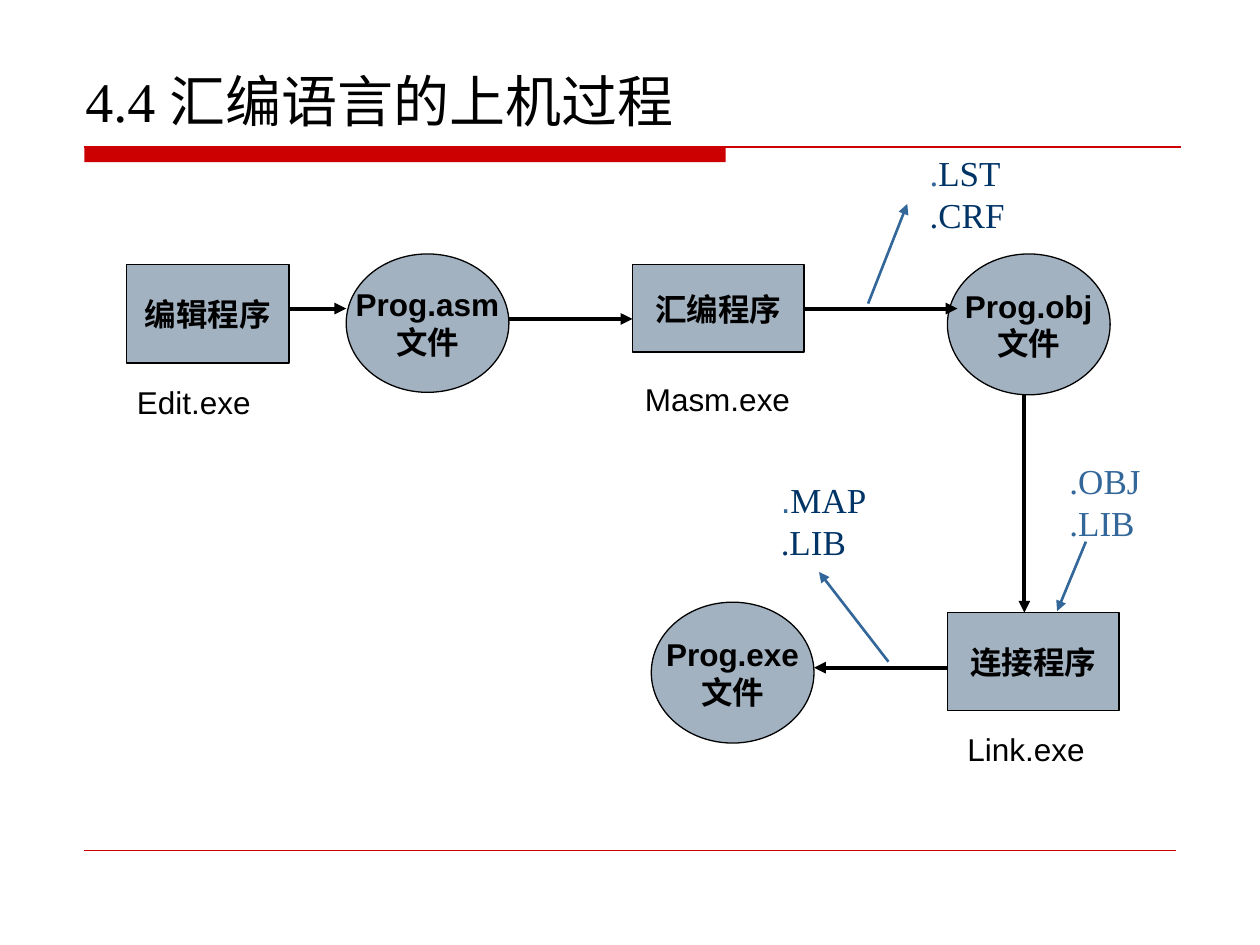
from dataclasses import dataclass
from typing import NamedTuple

from lxml.etree import SubElement
from pptx import Presentation
from pptx.dml.color import RGBColor
from pptx.enum.shapes import MSO_CONNECTOR, MSO_SHAPE
from pptx.enum.text import MSO_ANCHOR, MSO_AUTO_SIZE, PP_ALIGN
from pptx.oxml.ns import qn
from pptx.util import Cm, Pt

COLORS = {
    "red": "CC0000",
    "node": "A3B2C1",
    "black": "000000",
    "blue": "336699",
    "navy": "003366",
}
SANS, SERIF = "Arial", "Times New Roman"


class Run(NamedTuple):
    text: str
    color: str = "black"
    font: str = SANS


@dataclass
class Node:
    kind: MSO_SHAPE
    box: tuple[float, float, float, float]
    lines: tuple[str, ...]


@dataclass
class Label:
    box: tuple[float, float, float, float]
    size: float
    lines: list[list[Run]]


@dataclass
class Arrow:
    start: tuple[float, float]
    end: tuple[float, float]
    color: str = "black"
    width: float = 2.25


PROGRAM, FILE = MSO_SHAPE.RECTANGLE, MSO_SHAPE.OVAL
NODES = {
    "edit": Node(PROGRAM, (2.55, 5.34, 3.28, 1.98), ("编辑程序",)),
    "asm": Node(FILE, (6.98, 5.12, 3.28, 2.79), ("Prog.asm", "文件")),
    "masm": Node(PROGRAM, (12.75, 5.34, 3.46, 1.76), ("汇编程序",)),
    "obj": Node(FILE, (19.1, 5.12, 3.28, 2.84), ("Prog.obj", "文件")),
    "link": Node(PROGRAM, (19.1, 12.35, 3.46, 1.98), ("连接程序",)),
    "exe": Node(FILE, (13.13, 12.14, 3.28, 2.84), ("Prog.exe", "文件")),
}
LABELS = [
    Label((2.51, 7.6, 3, 1.02), 18, [[Run("Edit.exe")]]),
    Label((12.75, 7.54, 3.6, 1.02), 18, [[Run("Masm.exe")]]),
    Label((19.25, 14.6, 3.1, 1.02), 18, [[Run("Link.exe")]]),
    Label((18.49, 2.92, 2.3, 1.96), 20, [
        [Run(".", "blue", SERIF), Run("LST", "navy", SERIF)],
        [Run(".CRF", "navy", SERIF)],
    ]),
    Label((21.31, 9.14, 2.3, 1.96), 20, [
        [Run(".OBJ", "blue", SERIF)],
        [Run(".LIB", "blue", SERIF)],
    ]),
    Label((15.49, 9.53, 2.5, 1.96), 20, [
        [Run(".", "blue", SANS), Run("MAP", "navy", SERIF)],
        [Run(".LIB", "navy", SERIF)],
    ]),
    Label((1.47, 1.22, 13.5, 1.63), 32, [
        [Run("4.4 ", font=SERIF), Run("汇编语言的上机过程")],
    ]),
]
MASM_TO_OBJ = Arrow((16.21, 6.22), (19.3, 6.22))
ARROWS = [
    Arrow((5.82, 6.22), (6.98, 6.22)),
    Arrow((10.26, 6.43), (12.75, 6.43)),
    Arrow((20.65, 7.97), (20.65, 12.35)),
    Arrow((19.1, 13.46), (16.41, 13.46)),
    Arrow((17.5, 6.12), (18.29, 4.11), "blue", 1.5),
    Arrow((21.89, 10.92), (21.31, 12.32), "blue", 1.5),
    Arrow((17.91, 13.34), (16.51, 11.53), "blue", 1.5),
]


def rgb(name: str) -> RGBColor:
    return RGBColor.from_string(COLORS[name])


def add_filled_shape(slide, kind: MSO_SHAPE, box: tuple, color: str):
    shape = slide.shapes.add_shape(kind, *map(Cm, box))
    shape.shadow.inherit = False
    shape.fill.solid()
    shape.fill.fore_color.rgb = rgb(color)
    shape.line.fill.background()
    return shape


def set_font(font, run: Run) -> None:
    font.name = run.font
    font.color.rgb = rgb(run.color)


def write_lines(frame, lines: list[list[Run]], size: float,
                bold: bool = False, align: PP_ALIGN = PP_ALIGN.LEFT) -> None:
    """Write one paragraph per line, with run fonts only where runs differ."""
    for index, runs in enumerate(lines):
        paragraph = frame.add_paragraph() if index else frame.paragraphs[0]
        paragraph.alignment = align
        paragraph.font.size = Pt(size)
        paragraph.font.bold = bold
        uniform = len({(run.color, run.font) for run in runs}) == 1
        if uniform:
            set_font(paragraph.font, runs[0])
        for run in runs:
            piece = paragraph.add_run()
            piece.text = run.text
            if not uniform:
                set_font(piece.font, run)


def add_node(slide, node: Node):
    shape = add_filled_shape(slide, node.kind, node.box, "node")
    shape.line.color.rgb = rgb("black")
    shape.line.width = Pt(0.75)
    shape.text_frame.word_wrap = False
    shape.text_frame.vertical_anchor = MSO_ANCHOR.MIDDLE
    write_lines(shape.text_frame, [[Run(line)] for line in node.lines], 18,
                bold=True, align=PP_ALIGN.CENTER)
    return shape


def add_label(slide, label: Label) -> None:
    frame = slide.shapes.add_textbox(*map(Cm, label.box)).text_frame
    frame.word_wrap = True
    frame.auto_size = MSO_AUTO_SIZE.SHAPE_TO_FIT_TEXT
    write_lines(frame, label.lines, label.size)


def add_line(slide, start: tuple, end: tuple, color: str, width: float):
    line = slide.shapes.add_connector(
        MSO_CONNECTOR.STRAIGHT, *map(Cm, (*start, *end)))
    line.line.color.rgb = rgb(color)
    line.line.width = Pt(width)
    SubElement(line._element.spPr, qn("a:effectLst"))
    return line


def add_arrow(slide, arrow: Arrow):
    line = add_line(slide, arrow.start, arrow.end, arrow.color, arrow.width)
    SubElement(line.line._get_or_add_ln(), qn("a:tailEnd"), type="triangle")
    return line


def main() -> None:
    deck = Presentation()
    deck.slide_width, deck.slide_height = Cm(25.4), Cm(19.05)
    slide = deck.slides.add_slide(deck.slide_layouts[6])

    add_filled_shape(slide, MSO_SHAPE.RECTANGLE, (1.7, 2.97, 12.93, 0.3), "red")
    add_line(slide, (1.7, 2.97), (23.8, 2.97), "red", 1)
    add_line(slide, (1.7, 17.15), (23.7, 17.15), "red", 0.25)

    shapes = {name: add_node(slide, node) for name, node in NODES.items()}
    for label in LABELS:
        add_label(slide, label)
    for arrow in ARROWS:
        add_arrow(slide, arrow)
    add_arrow(slide, MASM_TO_OBJ).begin_connect(shapes["masm"], 3)

    deck.save("out.pptx")


if __name__ == "__main__":
    main()
